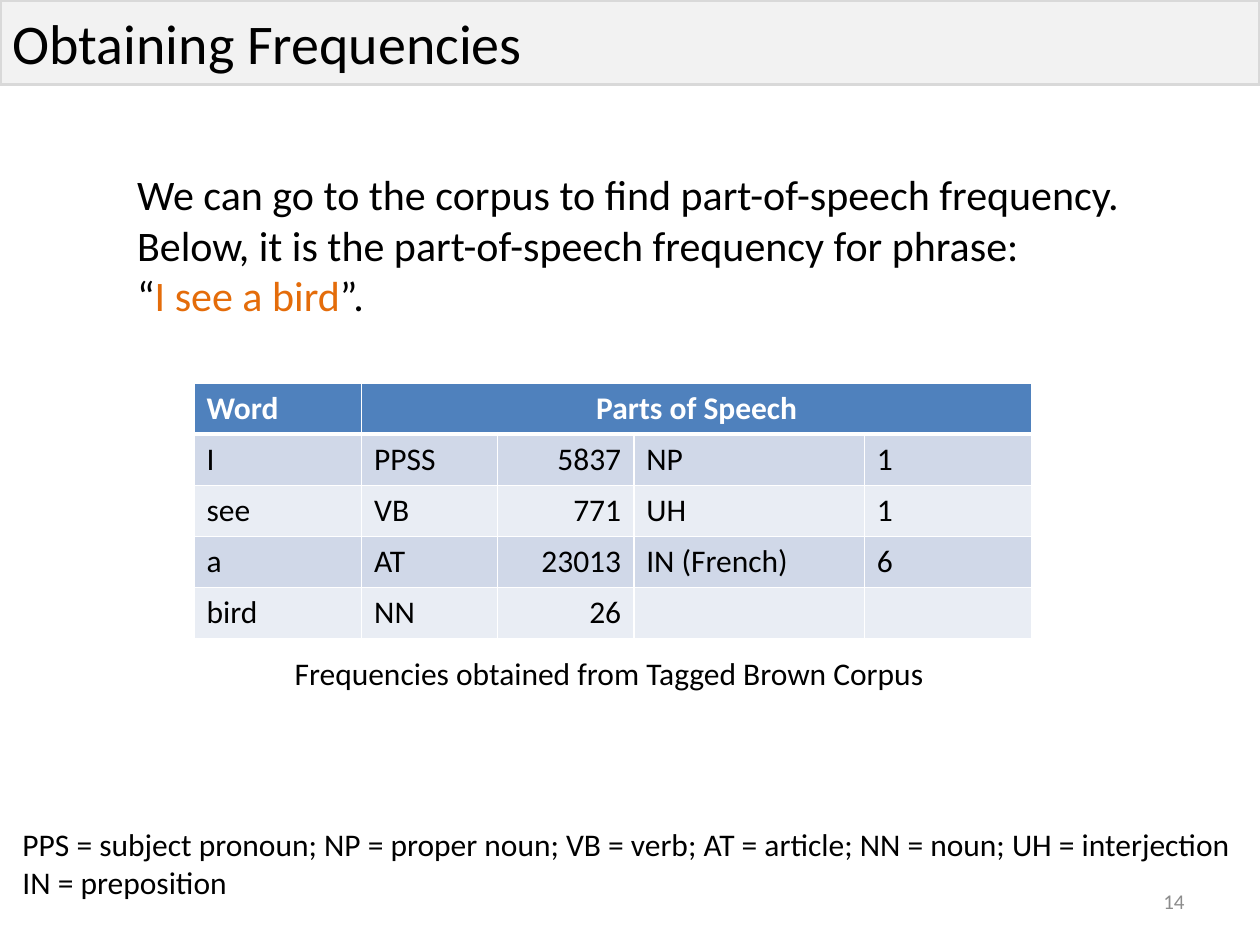
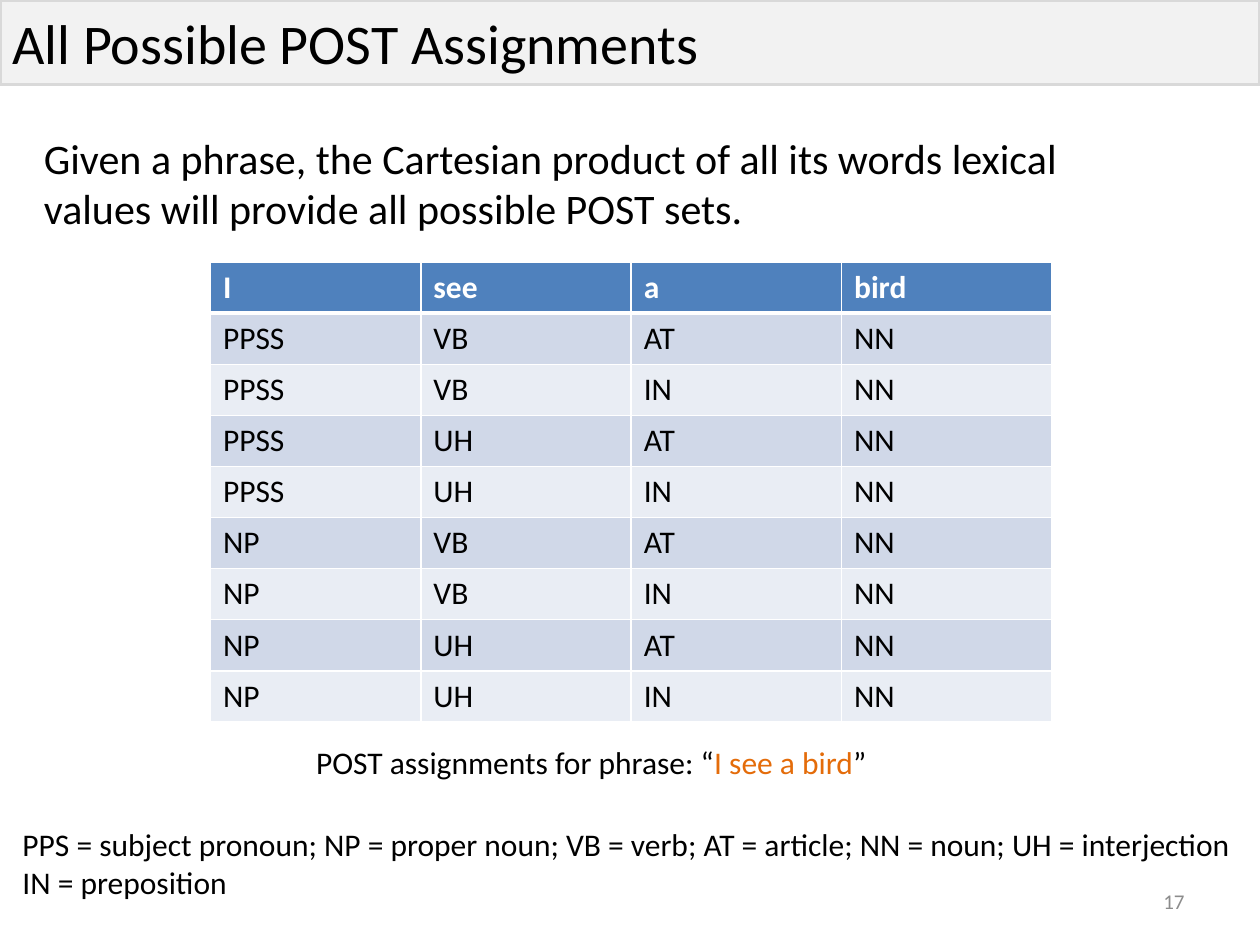
import itertools

import pptx
import pptx.dml.color
import pptx.enum.shapes
import pptx.enum.text
import pptx.oxml
import pptx.oxml.ns
import pptx.util

Inches = pptx.util.Inches
Pt = pptx.util.Pt
RGBColor = pptx.dml.color.RGBColor
Align = pptx.enum.text.PP_ALIGN
Anchor = pptx.enum.text.MSO_ANCHOR

FONT = "Calibri"
BLACK = RGBColor(0x00, 0x00, 0x00)
WHITE = RGBColor(0xFF, 0xFF, 0xFF)
ORANGE = RGBColor(0xE4, 0x6C, 0x0A)
PAGE_GREY = RGBColor(0x8C, 0x8C, 0x8C)
BAND_FILL = RGBColor(0xF2, 0xF2, 0xF2)
BAND_LINE = RGBColor(0xD9, 0xD9, 0xD9)
HEADER_BLUE = RGBColor(0x4F, 0x81, 0xBD)
ROW_FILLS = (RGBColor(0xE9, 0xED, 0xF4), RGBColor(0xD0, 0xD8, 0xE8))

BODY_SIZE = 24
SMALL_SIZE = 18
ROW_HEIGHT = 3.65 / 9
PHRASE = "I see a bird"
LEGEND = [
    "PPS = subject pronoun; NP = proper noun; VB = verb; AT = article; "
    "NN = noun; UH = interjection",
    "IN = preposition",
]
LEXICON = {
    "I": [("PPSS", 5837), ("NP", 1)],
    "see": [("VB", 771), ("UH", 1)],
    "a": [("AT", 23013), ("IN (French)", 6)],
    "bird": [("NN", 26)],
}


def style_span(span, size, color, bold=False):
    span.font.name = FONT
    span.font.size = Pt(size)
    span.font.color.rgb = color
    span.font.bold = bold


def write_lines(frame, lines, size, color=BLACK, align=Align.LEFT):
    """Write one paragraph per line, with the example phrase in orange."""
    for index, line in enumerate(lines):
        para = frame.paragraphs[0] if index == 0 else frame.add_paragraph()
        para.alignment = align
        before, phrase, after = line.partition(PHRASE)
        for text in filter(None, (before, phrase, after)):
            span = para.add_run()
            span.text = text
            style_span(span, size, ORANGE if text == PHRASE else color)


def add_text(page, left, top, width, height, lines, size, **style):
    box = page.shapes.add_textbox(
        Inches(left), Inches(top), Inches(width), Inches(height))
    box.text_frame.word_wrap = True
    write_lines(box.text_frame, lines, size, **style)
    return box


def add_title_band(page, title):
    band = page.shapes.add_shape(
        pptx.enum.shapes.MSO_SHAPE.RECTANGLE, 0, 0, Inches(10), Inches(0.67))
    band.shadow.inherit = False
    band.fill.solid()
    band.fill.fore_color.rgb = BAND_FILL
    band.line.color.rgb = BAND_LINE
    band.line.width = Pt(2)
    band.text_frame.vertical_anchor = Anchor.MIDDLE
    write_lines(band.text_frame, [title], 32)


def add_page(deck, title, number):
    """Add a blank slide with the shared number, title band and tag legend."""
    page = deck.slides.add_slide(deck.slide_layouts[6])
    number_box = add_text(page, 7.17, 6.95, 2.33, 0.4, [str(number)], 12,
                          color=PAGE_GREY, align=Align.RIGHT)
    number_box.text_frame.vertical_anchor = Anchor.MIDDLE
    add_title_band(page, title)
    add_text(page, 0.08, 6.5, 9.92, 0.71, LEGEND, SMALL_SIZE)
    return page


def add_borders(cell, row):
    """Rule the cell in white, thicker between the header and the body."""
    widths = {"L": 1, "R": 1, "T": 3 if row == 1 else 1, "B": 3 if row == 0 else 1}
    properties = cell._tc.get_or_add_tcPr()
    for side, width in widths.items():
        properties.append(pptx.oxml.parse_xml(
            f'<a:ln{side} {pptx.oxml.ns.nsdecls("a")} w="{Pt(width)}">'
            f'<a:solidFill><a:srgbClr val="{WHITE}"/></a:solidFill></a:ln{side}>'))


def add_table(page, left, top, widths, rows):
    """Add a banded table; whole numbers above one digit align right."""
    frame = page.shapes.add_table(
        len(rows), len(widths), Inches(left), Inches(top),
        Inches(sum(widths)), Inches(ROW_HEIGHT * len(rows)))
    table = frame.table
    for column, width in zip(table.columns, widths):
        column.width = Inches(width)
    for row_index, row in enumerate(rows):
        table.rows[row_index].height = Inches(ROW_HEIGHT)
        header = row_index == 0
        for column_index, value in enumerate(row):
            cell = table.cell(row_index, column_index)
            add_borders(cell, row_index)
            cell.fill.solid()
            cell.fill.fore_color.rgb = HEADER_BLUE if header else ROW_FILLS[row_index % 2]
            para = cell.text_frame.paragraphs[0]
            para.text = str(value)
            if isinstance(value, int) and value > 9:
                para.alignment = Align.RIGHT
            for span in para.runs:
                style_span(span, SMALL_SIZE, WHITE if header else BLACK, header)
    return table


def build_frequencies(deck):
    page = add_page(deck, "Obtaining Frequencies", 14)
    add_text(page, 0.99, 1.29, 8.09, 1.31, [
        "We can go to the corpus to find part-of-speech frequency.",
        "Below, it is the part-of-speech frequency for phrase:",
        f"“{PHRASE}”.",
    ], BODY_SIZE)
    rows = [["Word", "Parts of Speech", "", "", ""]]
    for word, tags in LEXICON.items():
        row = [word, *itertools.chain.from_iterable(tags)]
        rows.append(row + [""] * (5 - len(row)))
    table = add_table(page, 1.54, 3.04, [1.33, 1.08, 1.08, 1.83, 1.33], rows)
    heading = table.cell(0, 1)
    heading.merge(table.cell(0, 4))
    heading.text_frame.paragraphs[0].alignment = Align.CENTER
    add_text(page, 2.24, 5.14, 5.25, 0.4,
             ["Frequencies obtained from Tagged Brown Corpus"], SMALL_SIZE)


def build_assignments(deck):
    page = add_page(deck, "All Possible POST Assignments", 17)
    add_text(page, 0.25, 1, 8.39, 1.31, [
        "Given a phrase, the Cartesian product of all its words lexical",
        "values will provide all possible POST sets.",
    ], BODY_SIZE)
    tag_sets = [[tag.split()[0] for tag, count in tags] for tags in LEXICON.values()]
    rows = [list(LEXICON), *itertools.product(*tag_sets)]
    add_table(page, 1.67, 2.08, [1.67] * len(LEXICON), rows)
    add_text(page, 2.41, 5.85, 4.61, 0.4,
             [f"POST assignments for phrase: “{PHRASE}”"], SMALL_SIZE)


def main():
    deck = pptx.Presentation()
    deck.slide_width = Inches(10)
    deck.slide_height = Inches(7.5)
    build_frequencies(deck)
    build_assignments(deck)
    deck.save("out.pptx")


if __name__ == "__main__":
    main()
